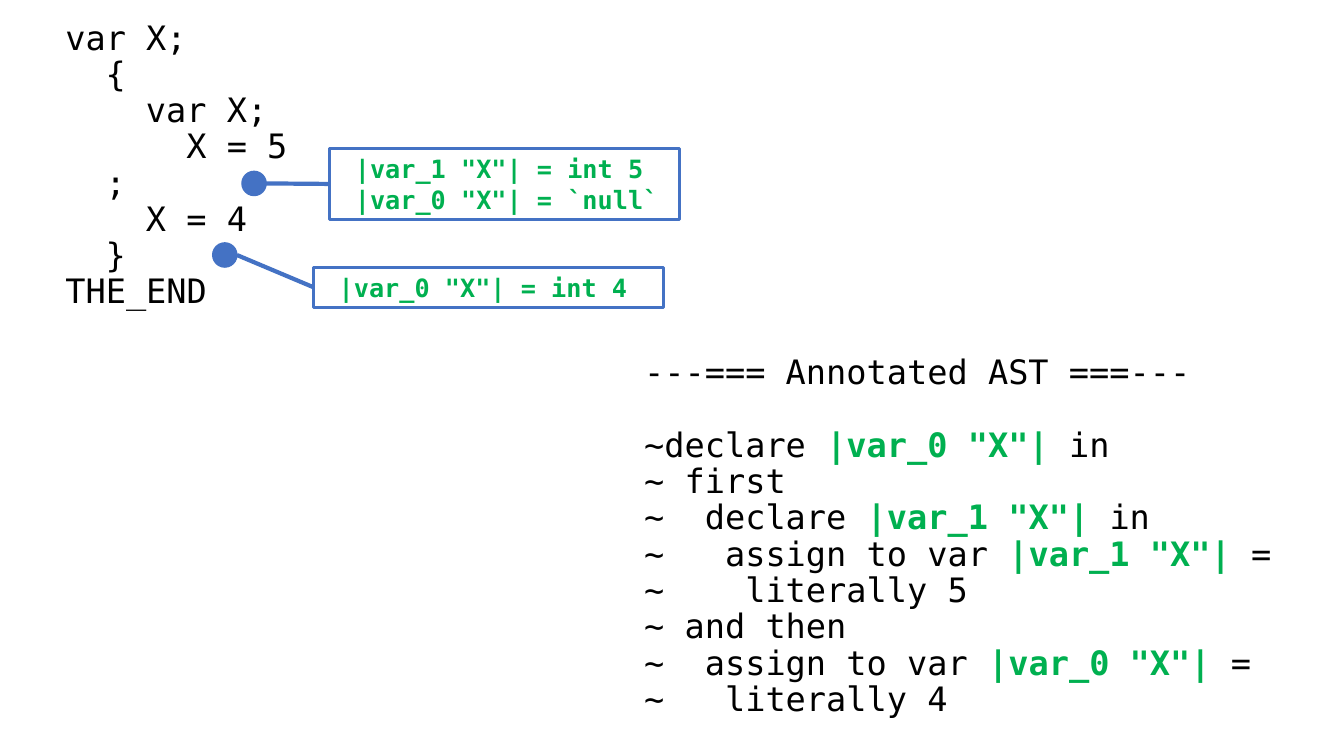
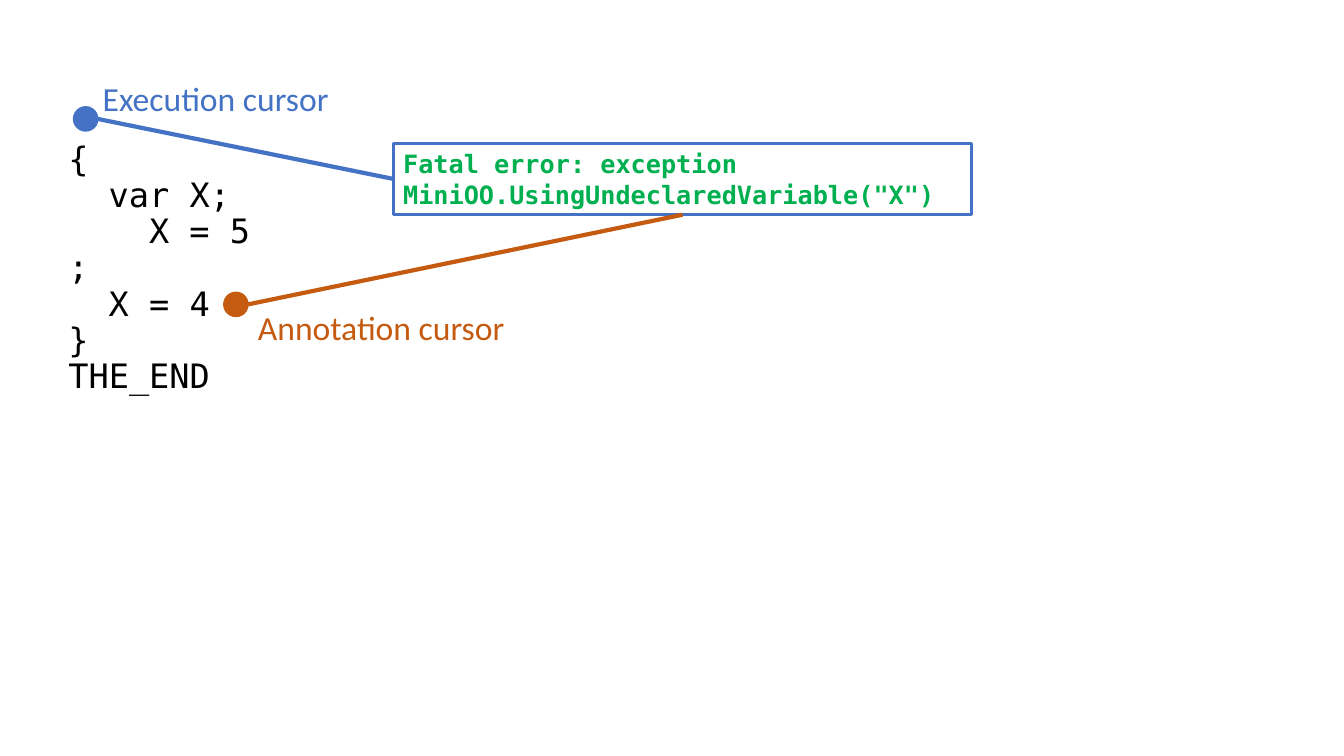
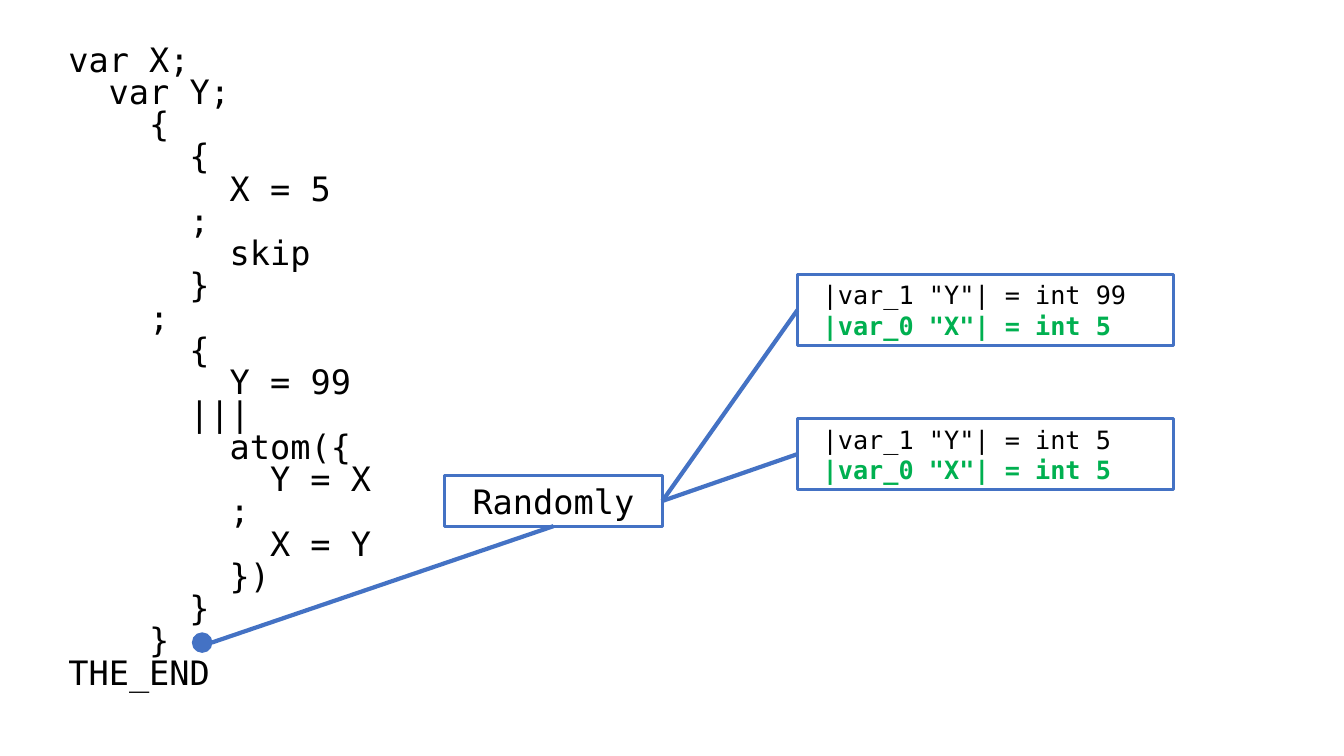
from dataclasses import dataclass
from typing import NamedTuple

from pptx import Presentation
from pptx.dml.color import RGBColor
from pptx.enum.shapes import MSO_CONNECTOR, MSO_SHAPE
from pptx.enum.text import MSO_ANCHOR, MSO_AUTO_SIZE, PP_ALIGN
from pptx.oxml.ns import qn
from pptx.shapes.autoshape import Shape
from pptx.shapes.connector import Connector
from pptx.slide import Slide
from pptx.text.text import TextFrame
from pptx.util import Inches, Pt
from lxml import etree

RECTANGLE = MSO_SHAPE.RECTANGLE
OVAL = MSO_SHAPE.OVAL
STRAIGHT = MSO_CONNECTOR.STRAIGHT
TOP = MSO_ANCHOR.TOP
MIDDLE = MSO_ANCHOR.MIDDLE
GROW = MSO_AUTO_SIZE.SHAPE_TO_FIT_TEXT
LEFT = PP_ALIGN.LEFT
CENTER = PP_ALIGN.CENTER
LEFT_SIDE, BOTTOM_SIDE, RIGHT_SIDE = 1, 2, 3

COLORS = {
    "text": "000000",
    "value": "00B050",
    "execution": "4472C4",
    "annotation": "C55A11",
}
MONO = "DejaVu Sans Mono"
SANS = "Calibri"
LARGE, SMALL = 24, 18
CHARACTER_WIDTH = 0.2
INSET = 0.1
STATE_INSET = 0.25
DOT_SIZE = 0.24
TWO_LINES = 0.71
BLANK_LAYOUT = 6

SCOPED_CODE = """\
var X;
  {
    var X;
      X = 5
  ;
    X = 4
  }
THE_END"""

UNDECLARED_CODE = """\
{
  var X;
    X = 5
;
  X = 4
}
THE_END"""

PARALLEL_CODE = """\
var X;
  var Y;
    {
      {
        X = 5
      ;
        skip
      }
    ;
      {
        Y = 99
      |||
        atom({
          Y = X
        ;
          X = Y
        })
      }
    }
THE_END"""


class Box(NamedTuple):
    left: float
    top: float
    width: float
    height: float


class Piece(NamedTuple):
    text: str
    value: bool = False


Line = list[Piece]


@dataclass
class Callout:
    box: Box
    lines: list[Line]
    size: int = SMALL
    inset: float = STATE_INSET
    alignment: PP_ALIGN = LEFT


@dataclass
class Cursor:
    left: float
    top: float
    side: int = LEFT_SIDE
    color: str = "execution"
    size: float = DOT_SIZE


def value_line(text: str) -> Line:
    return [Piece(text, True)]


def variable(index: int) -> Piece:
    return Piece(f'|var_{index} "X"| ', True)


AST_LINES: list[Line] = [
    [Piece("---=== Annotated AST ===---")],
    [Piece("~declare "), variable(0), Piece("in")],
    [Piece("~ first")],
    [Piece("~  declare "), variable(1), Piece("in")],
    [Piece("~   assign to var "), variable(1), Piece("=")],
    [Piece("~    literally 5")],
    [Piece("~ and then")],
    [Piece("~  assign to var "), variable(0), Piece("=")],
    [Piece("~   literally 4")],
]


def color(name: str) -> RGBColor:
    return RGBColor.from_string(COLORS[name])


def inches(box: Box) -> list[Inches]:
    return [Inches(length) for length in box]


def write_lines(text_frame: TextFrame, lines: list[Line], size: int,
                spacing: float | None = None, alignment: PP_ALIGN = LEFT) -> None:
    text_frame.word_wrap = True
    for index, line in enumerate(lines):
        paragraph = text_frame.paragraphs[0] if index == 0 else text_frame.add_paragraph()
        paragraph.alignment = alignment
        if spacing:
            paragraph.line_spacing = spacing
        for piece in line:
            run = paragraph.add_run()
            run.text = piece.text
            run.font.name = MONO
            run.font.size = Pt(size)
            run.font.bold = piece.value
            run.font.color.rgb = color("value" if piece.value else "text")


def add_text(slide: Slide, box: Box, lines: list[Line], spacing: float) -> TextFrame:
    text_frame = slide.shapes.add_textbox(*inches(box)).text_frame
    text_frame.vertical_anchor = TOP
    write_lines(text_frame, lines, LARGE, spacing)
    return text_frame


def add_code(slide: Slide, box: Box, code: str, spacing: float = 0.9) -> None:
    source = code.splitlines()
    text_frame = add_text(slide, box, [[Piece(line.lstrip())] for line in source], spacing)
    for paragraph, line in zip(text_frame.paragraphs, source):
        depth = len(line) - len(line.lstrip())
        properties = paragraph._p.get_or_add_pPr()
        properties.set("marL", str(Inches(depth * CHARACTER_WIDTH)))


def add_callout(slide: Slide, callout: Callout) -> Shape:
    shape = slide.shapes.add_shape(RECTANGLE, *inches(callout.box))
    shape.shadow.inherit = False
    shape.fill.background()
    shape.line.color.rgb = color("execution")
    shape.line.width = Pt(2.25)
    text_frame = shape.text_frame
    text_frame.margin_left = Inches(callout.inset)
    text_frame.vertical_anchor = MIDDLE
    text_frame.auto_size = GROW
    write_lines(text_frame, callout.lines, callout.size, alignment=callout.alignment)
    return shape


def add_link(slide: Slide, start: Shape, side: int, left: float, top: float,
             color_name: str = "execution") -> Connector:
    end = Inches(left), Inches(top)
    connector = slide.shapes.add_connector(STRAIGHT, *end, *end)
    connector.begin_connect(start, side)
    connector.line.color.rgb = color(color_name)
    connector.line.width = Pt(3)
    etree.SubElement(connector._element.spPr, qn("a:effectLst"))
    return connector


def add_cursor(slide: Slide, cursor: Cursor, callout: Shape) -> None:
    add_link(slide, callout, cursor.side, cursor.left + cursor.size,
             cursor.top + cursor.size / 2, cursor.color)
    box = Box(cursor.left, cursor.top, cursor.size, cursor.size)
    dot = slide.shapes.add_shape(OVAL, *inches(box))
    dot.shadow.inherit = False
    dot.fill.solid()
    dot.fill.fore_color.rgb = color(cursor.color)
    dot.line.color.rgb = color(cursor.color)
    dot.line.width = Pt(1)


def add_label(slide: Slide, left: float, top: float, text: str, color_name: str) -> None:
    text_frame = slide.shapes.add_textbox(*inches(Box(left, top, 2.68, 0.5))).text_frame
    text_frame.word_wrap = True
    text_frame.auto_size = GROW
    text_frame.text = text
    font = text_frame.paragraphs[0].runs[0].font
    font.name = SANS
    font.size = Pt(LARGE)
    font.color.rgb = color(color_name)


def build_scopes(slide: Slide) -> None:
    add_code(slide, Box(0.55, 0.16, 5.74, 3.16), SCOPED_CODE)
    states = [
        (Callout(Box(3.27, 1.47, 3.47, TWO_LINES),
                 [value_line('|var_1 "X"| = int 5'), value_line('|var_0 "X"| = `null`')]),
         Cursor(2.4, 1.7)),
        (Callout(Box(3.11, 2.65, 3.47, 0.4), [value_line('|var_0 "X"| = int 4')]),
         Cursor(2.11, 2.41)),
    ]
    for callout, cursor in states:
        add_cursor(slide, cursor, add_callout(slide, callout))
    tree = add_text(slide, Box(6.29, 3.48, 6.82, 3.73), AST_LINES, 0.9)
    tree.paragraphs[1].space_before = Pt(26)


def build_error(slide: Slide) -> None:
    add_code(slide, Box(0.58, 1.36, 5.74, 3.39), UNDECLARED_CODE)
    message = 'Fatal error: exception MiniOO.UsingUndeclaredVariable("X")'
    error = add_callout(slide, Callout(Box(3.9, 1.42, 5.74, TWO_LINES),
                                       [value_line(message)], inset=INSET))
    add_cursor(slide, Cursor(0.73, 1.06), error)
    add_label(slide, 0.92, 0.72, "Execution cursor", "execution")
    add_cursor(slide, Cursor(2.22, 2.9, BOTTOM_SIDE, "annotation"), error)
    add_label(slide, 2.46, 3, "Annotation cursor", "annotation")


def build_parallel(slide: Slide) -> None:
    add_code(slide, Box(0.58, 0.41, 12.04, 7.05), PARALLEL_CODE, 0.8)
    choice = add_callout(slide, Callout(Box(4.41, 4.72, 2.16, 0.5), [[Piece("Randomly")]],
                                        LARGE, INSET, CENTER))
    add_cursor(slide, Cursor(1.91, 6.28, BOTTOM_SIDE, size=0.19), choice)
    for top, result in ((2.72, 99), (4.15, 5)):
        lines = [[Piece(f'|var_1 "Y"| = int {result}')], value_line('|var_0 "X"| = int 5')]
        outcome = add_callout(slide, Callout(Box(7.91, top, 3.73, TWO_LINES), lines))
        link = add_link(slide, choice, RIGHT_SIDE, 7.91, top + TWO_LINES / 2)
        link.end_connect(outcome, LEFT_SIDE)


def main() -> None:
    presentation = Presentation()
    presentation.slide_width = Inches(13.33)
    presentation.slide_height = Inches(7.5)
    layout = presentation.slide_layouts[BLANK_LAYOUT]
    for build in (build_scopes, build_error, build_parallel):
        build(presentation.slides.add_slide(layout))
    presentation.save("out.pptx")


if __name__ == "__main__":
    main()
